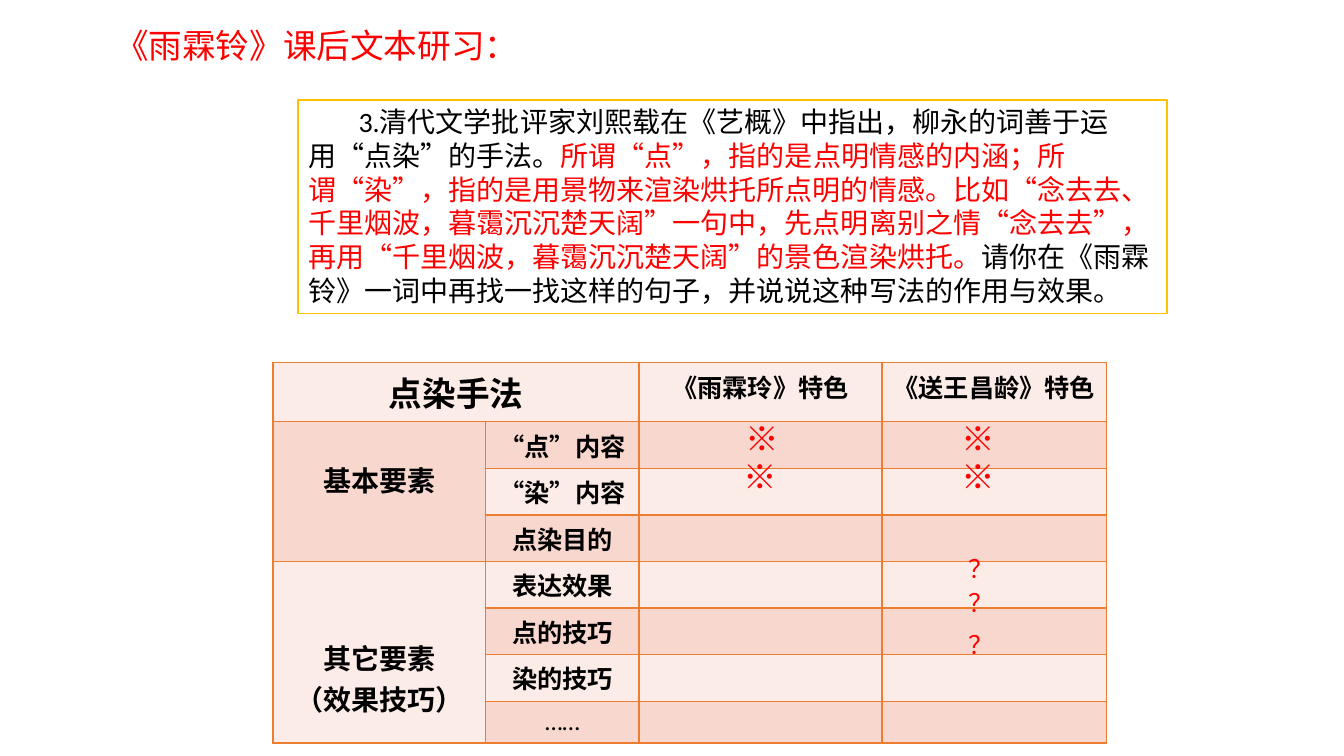
from pptx import Presentation
from pptx.dml.color import RGBColor
from pptx.enum.shapes import MSO_SHAPE
from pptx.enum.text import MSO_ANCHOR, MSO_AUTO_SIZE, PP_ALIGN
from pptx.oxml import parse_xml
from pptx.oxml.ns import nsdecls
from pptx.util import Pt

LATIN, CJK = "Calibri", "Noto Sans CJK SC"
RED = RGBColor(0xFF, 0x00, 0x00)
BLACK = RGBColor(0x00, 0x00, 0x00)
WHITE = RGBColor(0xFF, 0xFF, 0xFF)
GOLD = RGBColor(0xFF, 0xC0, 0x00)
ORANGE = RGBColor(0xED, 0x7D, 0x31)
BANDS = [RGBColor(0xFC, 0xEC, 0xE8), RGBColor(0xF8, 0xD7, 0xCE)]

# Content
TITLE = "《雨霖铃》课后文本研习："
QUESTION = [
    ("3.清代文学批评家刘熙载在《艺概》中指出，柳永的词善于运用“点染”的手法。", BLACK),
    ("所谓“点”，指的是点明情感的内涵；所谓“染”，指的是用景物来渲染烘托所点明的情感。"
     "比如“念去去、千里烟波，暮霭沉沉楚天阔”一句中，先点明离别之情“念去去”，"
     "再用“千里烟波，暮霭沉沉楚天阔”的景色渲染烘托。", RED),
    ("请你在《雨霖铃》一词中再找一找这样的句子，并说说这种写法的作用与效果。", BLACK),
]
TABLE_HEADING = "点染手法"
POEMS = ["雨霖玲", "送王昌龄"]
ASPECTS = ["“点”内容", "“染”内容", "点染目的", "表达效果", "点的技巧", "染的技巧", "……"]
# Lines, first row, last row, top margin
GROUPS = [
    (["基本要素"], 1, 3, 26.4),
    (["其它要素", "（效果技巧）"], 4, 7, 54),
]
# Text, left, top, width, height, size, font, alignment
MARKS = [("※", left, top, 39, 36, 24, CJK, PP_ALIGN.CENTER)
         for left, top in [(525, 295), (523.5, 322), (679, 295), (679, 322)]]
MARKS += [("？", 684.7, top, 32.4, 29, 18, LATIN, PP_ALIGN.LEFT)
          for top in (391.7, 416.2, 445.7)]

# Table geometry
TABLE_LEFT, TABLE_TOP = 195, 259.2
COLUMN_WIDTHS = [152, 109.5, 173.5, 160.5]
ROW_HEIGHTS = [36] + [29.8] * len(ASPECTS)


def style_font(font, size, color, name=LATIN, bold=False):
    font.size, font.name, font.bold = Pt(size), name, bold
    font.color.rgb = color


def add_runs(paragraph, runs, size, bold=False):
    for text, color, name in runs:
        run = paragraph.add_run()
        run.text = text
        style_font(run.font, size, color, name, bold)


def fill_cell(cell, lines, size, bold=True):
    cell.text_frame.text = "\n".join(lines)
    for paragraph in cell.text_frame.paragraphs:
        paragraph.alignment = PP_ALIGN.CENTER
        for run in paragraph.runs:
            style_font(run.font, size, BLACK, bold=bold)


def add_borders(cell):
    for side in ("lnL", "lnR", "lnT", "lnB"):
        cell._tc.get_or_add_tcPr().append(parse_xml(
            f'<a:{side} {nsdecls("a")} w="{Pt(1)}"><a:solidFill>'
            f'<a:srgbClr val="{ORANGE}"/></a:solidFill></a:{side}>'))


presentation = Presentation()
presentation.slide_width, presentation.slide_height = Pt(960), Pt(540)
slide = presentation.slides.add_slide(presentation.slide_layouts[5])

# Title
title = slide.shapes.title
title.left, title.top, title.width, title.height = Pt(75), Pt(14.4), Pt(305), Pt(36)
title.text_frame.text = TITLE
title.text_frame.word_wrap = False
title.text_frame.auto_size = MSO_AUTO_SIZE.NONE
title.text_frame.vertical_anchor = MSO_ANCHOR.TOP
title_paragraph = title.text_frame.paragraphs[0]
title_paragraph.alignment = PP_ALIGN.LEFT
style_font(title_paragraph.runs[0].font, 24, RED)

# Question box
question = slide.shapes.add_shape(MSO_SHAPE.RECTANGLE, Pt(213), Pt(71.4), Pt(620.6), Pt(152.6))
question.shadow.inherit = False
question.fill.solid()
question.fill.fore_color.rgb = WHITE
question.line.color.rgb = GOLD
question.line.width = Pt(1)
question.text_frame.word_wrap = True
question.text_frame.vertical_anchor = MSO_ANCHOR.TOP
question_paragraph = question.text_frame.paragraphs[0]
question_paragraph.alignment = PP_ALIGN.LEFT
question_paragraph._p.get_or_add_pPr().set("indent", str(Pt(36)))
add_runs(question_paragraph, [(text, color, LATIN) for text, color in QUESTION], 20)

# Table grid
table = slide.shapes.add_table(
    len(ROW_HEIGHTS), len(COLUMN_WIDTHS), Pt(TABLE_LEFT), Pt(TABLE_TOP),
    Pt(sum(COLUMN_WIDTHS)), Pt(sum(ROW_HEIGHTS))).table
table.first_row = table.horz_banding = False
for column, width in zip(table.columns, COLUMN_WIDTHS):
    column.width = Pt(width)
for index, (row, height) in enumerate(zip(table.rows, ROW_HEIGHTS)):
    row.height = Pt(height)
    for cell in row.cells:
        add_borders(cell)
        cell.fill.solid()
        cell.fill.fore_color.rgb = BANDS[index % 2]

# Table header
table.cell(0, 0).merge(table.cell(0, 1))
fill_cell(table.cell(0, 0), [TABLE_HEADING], 24)
for column_index, poem in enumerate(POEMS, start=2):
    paragraph = table.cell(0, column_index).text_frame.paragraphs[0]
    paragraph.alignment = PP_ALIGN.CENTER
    add_runs(paragraph, [("《", BLACK, LATIN), (poem, BLACK, CJK), ("》特色", BLACK, LATIN)],
             18, bold=True)

# Table row labels
for lines, first, last, margin in GROUPS:
    group_cell = table.cell(first, 0)
    group_cell.merge(table.cell(last, 0))
    group_cell.margin_top = Pt(margin)
    fill_cell(group_cell, lines, 20)
for row_index, aspect in enumerate(ASPECTS, start=1):
    fill_cell(table.cell(row_index, 1), [aspect], 18, bold=aspect != "……")

# Marks over the table
for text, left, top, width, height, size, name, alignment in MARKS:
    mark = slide.shapes.add_textbox(Pt(left), Pt(top), Pt(width), Pt(height))
    mark.text_frame.text = text
    mark.text_frame.word_wrap = False
    paragraph = mark.text_frame.paragraphs[0]
    paragraph.alignment = alignment
    style_font(paragraph.runs[0].font, size, RED, name)

presentation.save("out.pptx")
